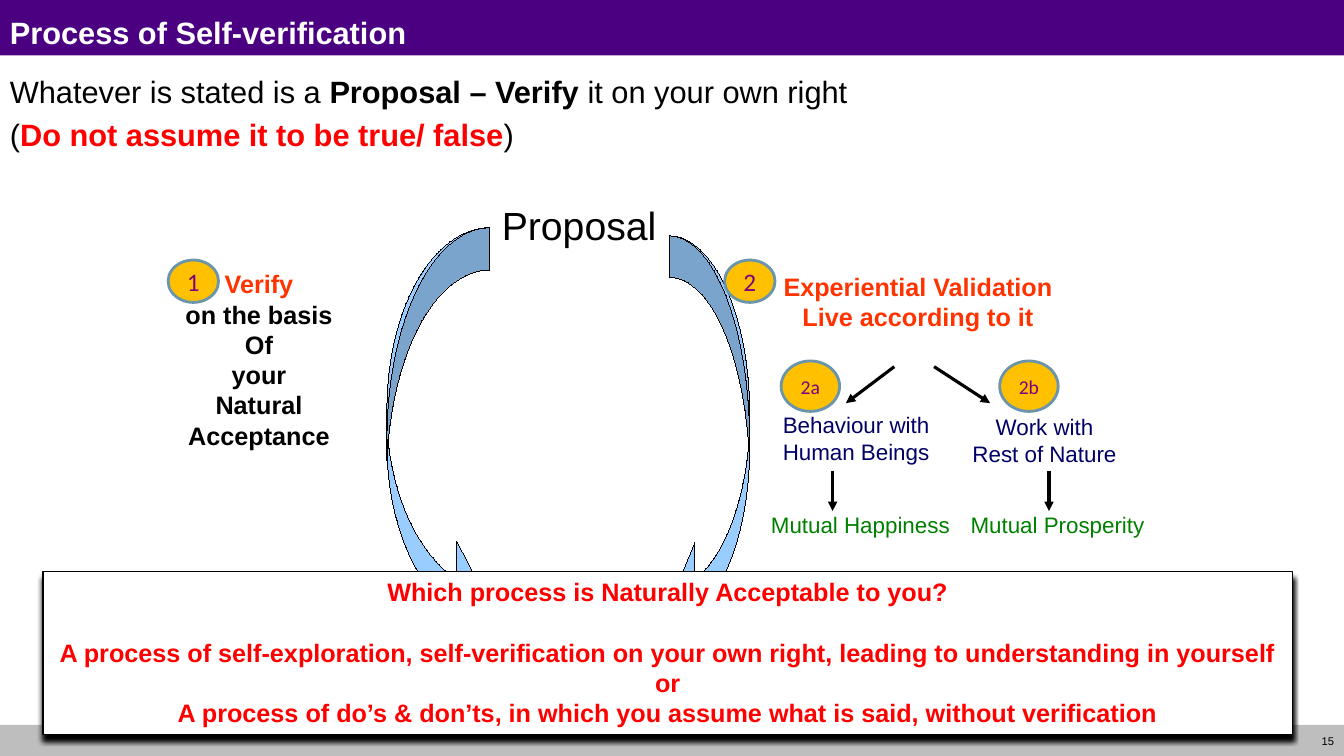
"""Build the self-verification slide: two curved arrows, numbered steps and a closing question."""
from dataclasses import dataclass

from lxml.etree import SubElement
from pptx import Presentation
from pptx.dml.color import RGBColor
from pptx.enum.shapes import MSO_CONNECTOR, MSO_SHAPE
from pptx.enum.text import MSO_ANCHOR, MSO_AUTO_SIZE, PP_ALIGN
from pptx.oxml.ns import qn
from pptx.util import Inches, Pt


@dataclass(frozen=True)
class Theme:
    """Colours, fonts and type sizes of the slide."""
    black: str = "000000"
    white: str = "FFFFFF"
    indigo: str = "4B0082"
    grey: str = "BEBEBE"
    red: str = "FF0000"
    orange: str = "FF3300"
    navy: str = "000066"
    green: str = "008000"
    purple: str = "800080"
    gold: str = "FFC000"
    badge_rim: str = "6A95AB"
    ribbon: str = "99CCFF"
    ribbon_back: str = "7BA4CD"
    font: str = "Arial"
    badge_font: str = "Calibri"
    heading: int = 22
    hub: int = 28
    step: int = 18
    branch: int = 16
    sub_badge: int = 14
    number: int = 8


THEME = Theme()
WIDTH, HEIGHT = Inches(13.33), Inches(7.5)
RIBBON = [[(1, 0)], [(0.45, 0), (0, 0.19), (0, 0.43)], [(0, 0.51)],
          [(0, 0.69), (0.27, 0.85), (0.68, 0.91)], [(0.68, 1)], [(1, 0.89)],
          [(0.68, 0.74)], [(0.68, 0.83)], [(0.3, 0.77), (0.04, 0.63), (0, 0.47)],
          [(0.05, 0.25), (0.48, 0.08), (1, 0.08)]]
RIBBON_BACK = [[(1, 0)], [(0.45, 0), (0, 0.22), (0, 0.5)], [(0, 0.55)],
               [(0.05, 0.29), (0.48, 0.1), (1, 0.1)]]


def column(share):
    """Turn a percentage of the slide's width into a length."""
    return round(WIDTH * share / 100)


def row(share):
    """Turn a percentage of the slide's height into a length."""
    return round(HEIGHT * share / 100)


def place(area):
    """Turn left, top, width and height shares into lengths."""
    left, top, width, height = area
    return column(left), row(top), column(width), row(height)


def color(code):
    """Read a colour of the theme."""
    return RGBColor.from_string(code)


def paint(shape, fill, line=None, weight=0):
    """Give a shape a flat fill, an optional outline and no shadow."""
    shape.shadow.inherit = False
    shape.fill.solid()
    shape.fill.fore_color.rgb = color(fill)
    if line:
        shape.line.color.rgb = color(line)
        shape.line._get_or_add_ln().set("w", str(Pt(weight)))
    else:
        shape.line.fill.background()


def write(shape, paragraphs, size, align=PP_ALIGN.LEFT, font=THEME.font, gaps=None):
    """Write paragraphs given as lists of (text, colour, bold) runs."""
    frame = shape.text_frame
    for index, runs in enumerate(paragraphs):
        para = frame.paragraphs[0] if index == 0 else frame.add_paragraph()
        para.alignment = align
        if gaps and index in gaps:
            para.space_before = Pt(gaps[index])
        for text, code, bold in runs:
            span = para.add_run()
            span.text = text
            span.font.name = font
            span.font.size = Pt(size)
            span.font.bold = bold
            span.font.color.rgb = color(code)


def add_text(page, area, paragraphs, size, **style):
    """Add a wrapping text box."""
    box = page.shapes.add_textbox(*place(area))
    box.text_frame.word_wrap = True
    write(box, paragraphs, size, **style)
    return box


def add_label(page, area, lines, size, code, bold=False, first=None, align=PP_ALIGN.CENTER):
    """Add a tight label, its first line optionally in another colour."""
    box = page.shapes.add_textbox(*place(area))
    frame = box.text_frame
    frame.margin_left = frame.margin_right = frame.margin_top = frame.margin_bottom = 0
    frame.word_wrap = False
    frame.auto_size = MSO_AUTO_SIZE.SHAPE_TO_FIT_TEXT
    codes = [first or code] + [code] * (len(lines) - 1)
    write(box, [[(line, tone, bold)] for line, tone in zip(lines, codes)], size, align)


def add_panel(page, area, fill, line=None, weight=0, preset=MSO_SHAPE.RECTANGLE):
    """Add a filled preset shape."""
    panel = page.shapes.add_shape(preset, *place(area))
    paint(panel, fill, line, weight)
    return panel


def add_badge(page, area, text, size):
    """Add a numbered oval."""
    badge = add_panel(page, area, THEME.gold, THEME.badge_rim, 2, MSO_SHAPE.OVAL)
    badge.text_frame.word_wrap = False
    badge.text_frame.vertical_anchor = MSO_ANCHOR.MIDDLE
    write(badge, [[(text, THEME.purple, False)]], size, PP_ALIGN.CENTER, THEME.badge_font)


def add_line(page, start, end, weight, arrow=True):
    """Add a straight black line, with an arrowhead unless told otherwise."""
    line = page.shapes.add_connector(MSO_CONNECTOR.STRAIGHT, column(start[0]), row(start[1]),
                                     column(end[0]), row(end[1]))
    line.line.color.rgb = color(THEME.black)
    line.line.width = Pt(weight)
    if arrow:
        SubElement(line.line._get_or_add_ln(), qn("a:tailEnd"), type="triangle")
    SubElement(line._element.spPr, qn("a:effectLst"))


def bend(shape, segments):
    """Turn each run of three drawn points into one cubic curve."""
    outline = next(shape._element.iter(qn("a:path")))
    steps = iter(list(outline)[1:])
    for segment in segments[1:]:
        lines = [next(steps) for _ in segment]
        if len(lines) == 3:
            curve = outline.makeelement(qn("a:cubicBezTo"))
            lines[0].addprevious(curve)
            for line in lines:
                curve.append(line[0])
                outline.remove(line)


def add_ribbon(page, area, mirrored=False):
    """Add a curved arrow made of a light band, a darker back and a rim."""
    left, top, width, height = area

    def locate(point):
        across = 1 - point[0] if mirrored else point[0]
        return left + width * across, top + height * point[1]

    for segments, fill in ((RIBBON, THEME.ribbon), (RIBBON_BACK, THEME.ribbon_back)):
        spots = [locate(point) for segment in segments for point in segment]
        points = [(column(x), row(y)) for x, y in spots]
        builder = page.shapes.build_freeform(*points[0])
        builder.add_line_segments(points[1:], close=True)
        shape = builder.convert_to_shape()
        bend(shape, segments)
        paint(shape, fill, THEME.black)
    add_line(page, locate((0, 0.5)), locate((0, 0.55)), 0.5, arrow=False)


def add_question(page):
    """Add the closing question on a card with a hard shadow."""
    card = add_panel(page, (3.2, 75.6, 92.95, 21.6), THEME.white, THEME.black, 0.75)
    effects = card._element.spPr.find(qn("a:effectLst"))
    shadow = SubElement(effects, qn("a:outerShdw"), blurRad=str(Pt(4)), dist=str(Pt(4)),
                        dir="5400000", algn="ctr", rotWithShape="0")
    SubElement(shadow, qn("a:srgbClr"), val=THEME.black)
    card.text_frame.word_wrap = True
    card.text_frame.vertical_anchor = MSO_ANCHOR.TOP
    lines = ["Which process is Naturally Acceptable to you?",
             "A process of self-exploration, self-verification on your own right, "
             "leading to understanding in yourself",
             "or",
             "A process of do’s & don’ts, in which you assume what is said, without verification"]
    write(card, [[(line, THEME.red, True)] for line in lines], THEME.step, PP_ALIGN.CENTER,
          gaps={1: 21.6})


def main():
    """Build and save the slide."""
    deck = Presentation()
    deck.slide_width, deck.slide_height = WIDTH, HEIGHT
    page = deck.slides.add_slide(deck.slide_layouts[6])
    t = THEME
    left = PP_ALIGN.LEFT

    add_panel(page, (0, 0, 100, 7.33), t.indigo)
    add_panel(page, (0, 95.87, 100, 4.13), t.grey)
    number = add_text(page, (95.35, 95.87, 4.65, 4.27), [[("15", t.black, False)]], t.number,
                      align=PP_ALIGN.RIGHT)
    number.text_frame.vertical_anchor = MSO_ANCHOR.MIDDLE
    add_text(page, (0, 1.15, 100, 5.6), [[("Process of Self-verification", t.white, True)]], t.heading)
    add_text(page, (0, 8.93, 100, 86.67),
             [[("Whatever is stated is a ", t.black, False), ("Proposal – Verify", t.black, True),
               (" it on your own right", t.black, False)],
              [("(", t.black, False), ("Do not assume it to be true/ false", t.red, True),
               (")", t.black, False)]], t.heading, gaps={1: 4.4})

    add_label(page, (37.34, 26.67, 11.63, 6.27), ["Proposal"], t.hub, t.black, align=left)
    add_ribbon(page, (28.79, 30.13, 7.65, 56))
    add_ribbon(page, (49.78, 31.2, 6, 54.8), mirrored=True)

    add_label(page, (13.75, 35.55, 11.03, 24.27),
              ["Verify", "on the basis", "Of", "your", "Natural", "Acceptance"],
              t.step, t.black, bold=True, first=t.orange)
    add_label(page, (58.21, 35.87, 20.18, 13.07),
              ["Experiential Validation", "Live according to it"], t.step, t.orange, bold=True)
    add_label(page, (58.18, 54.4, 11.03, 7.2), ["Behaviour with", "Human Beings"], t.branch, t.navy)
    add_label(page, (72.28, 54.7, 10.88, 7.2), ["Work with", "Rest of Nature"], t.branch, t.navy)
    add_label(page, (57.36, 67.6, 13.5, 3.6), ["Mutual Happiness"], t.branch, t.green, align=left)
    add_label(page, (72.22, 67.6, 13.13, 3.6), ["Mutual Prosperity"], t.branch, t.green, align=left)

    for start, end in (((66.54, 48.5), (62.94, 53.33)), ((69.5, 48.5), (73.67, 53.33)),
                       ((61.95, 62.25), (61.95, 67.6)), ((78.05, 62.25), (78.05, 67.6))):
        add_line(page, start, end, 2.25)
    for across, text in ((53.92, "2"), (12.51, "1")):
        add_badge(page, (across, 34.4, 3.75, 5.6), text, t.step)
    for across, text in ((58.12, "2a"), (74.38, "2b")):
        add_badge(page, (across, 47.75, 4.35, 6.67), text, t.sub_badge)
    add_question(page)
    deck.save("out.pptx")


if __name__ == "__main__":
    main()
